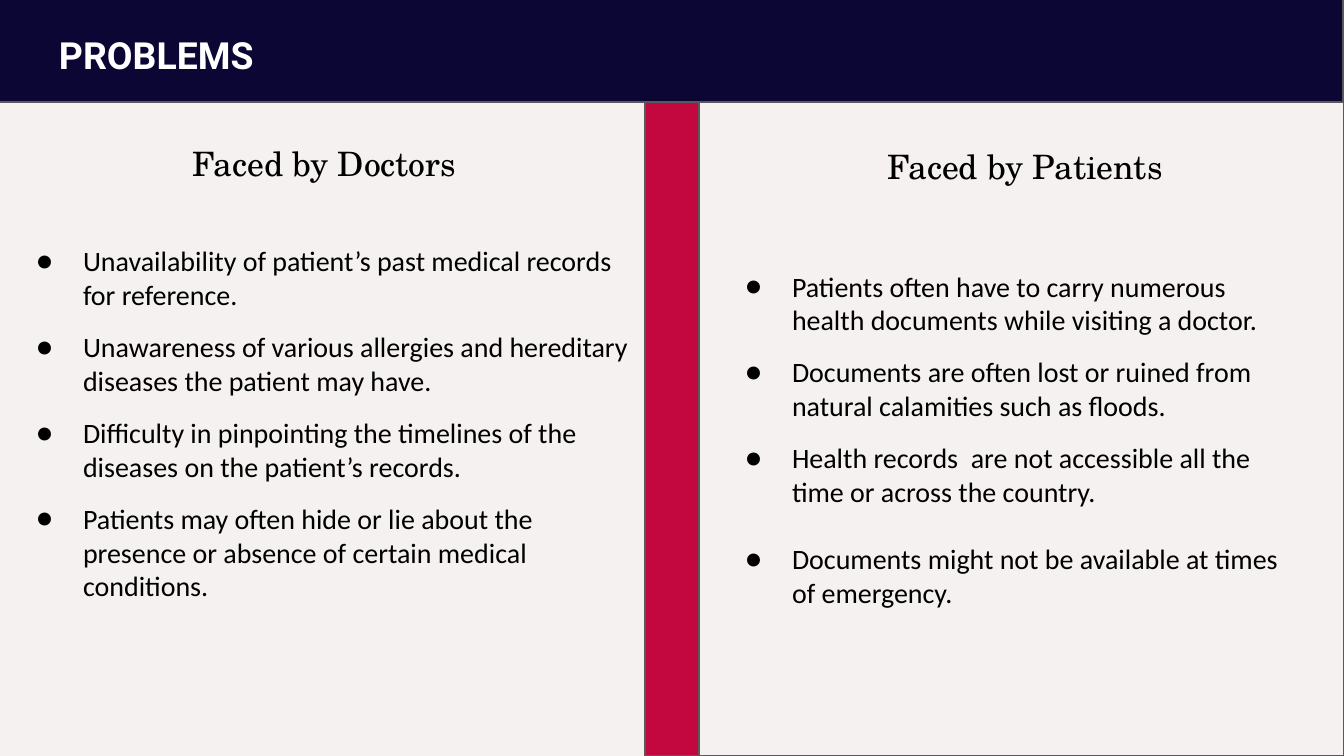
import dataclasses

import lxml.etree
import pptx
import pptx.dml.color
import pptx.enum.text
import pptx.oxml.ns
import pptx.util

SCALE = 914400 / 134.4
WIDE, HIGH = 1344, 756
PAD = 13
HANG = 47


@dataclasses.dataclass(frozen=True)
class Theme:
    paper: str = "F4F1F0"
    navy: str = "0B0633"
    red: str = "C3073F"
    edge: str = "595959"
    ink: str = "000000"
    white: str = "FFFFFF"
    rule: float = 0.75
    gap: int = 10
    title: tuple = ("Roboto", 20)
    head: tuple = ("TeX Gyre Schola", 18)
    body: tuple = ("Calibri", 15)


THEME = Theme()

DOCTORS = [
    "Unavailability of patient’s past medical records for reference.",
    "Unawareness of various allergies and hereditary diseases the patient may have.",
    "Difficulty in pinpointing the timelines of the diseases on the patient’s records.",
    "Patients may often hide or lie about the presence or absence of certain medical conditions.",
]
PATIENTS = [
    "Patients often have to carry numerous health documents while visiting a doctor.",
    "Documents are often lost or ruined from natural calamities such as floods.",
    "Health records  are not accessible all the time or across the country.",
    "Documents might not be available at times of emergency.",
]


def px(count):
    return pptx.util.Emu(round(count * SCALE))


def shade(code):
    return pptx.dml.color.RGBColor.from_string(code)


def assign(item, values):
    for name, value in values.items():
        setattr(item, name, value)


def block(slide, place, fill, edged=True):
    kind = pptx.enum.shapes.MSO_SHAPE.RECTANGLE
    shape = slide.shapes.add_shape(kind, *map(px, place))
    shape.shadow.inherit = False
    shape.fill.solid()
    shape.fill.fore_color.rgb = shade(fill)
    if edged:
        shape.line.color.rgb = shade(THEME.edge)
        shape.line.width = pptx.util.Pt(THEME.rule)
    else:
        shape.line.fill.background()


def frame(slide, place, anchor="TOP"):
    text = slide.shapes.add_textbox(*map(px, place)).text_frame
    sides = ("left", "top", "right", "bottom")
    assign(text, {f"margin_{side}": px(PAD) for side in sides})
    assign(text, {
        "word_wrap": True,
        "vertical_anchor": getattr(pptx.enum.text.MSO_ANCHOR, anchor),
    })
    return text


def write(para, words, style, color, bold=False):
    run = para.add_run()
    run.text = words
    face, size = style
    assign(run.font, {"name": face, "size": pptx.util.Pt(size), "bold": bold})
    run.font.color.rgb = shade(color)


def label(slide, place, words, style, color, align="LEFT", bold=False):
    para = frame(slide, place).paragraphs[0]
    para.alignment = getattr(pptx.enum.text.PP_ALIGN, align)
    write(para, words, style, color, bold)


def bullet(para, indent):
    props = para._p.get_or_add_pPr()
    assign_to = {"marL": indent, "indent": -HANG}
    for name, value in assign_to.items():
        props.set(name, str(px(value)))
    qn = pptx.oxml.ns.qn
    tint = lxml.etree.SubElement(props, qn("a:buClr"))
    lxml.etree.SubElement(tint, qn("a:srgbClr"), val=THEME.ink)
    lxml.etree.SubElement(props, qn("a:buFont"), typeface=THEME.body[0])
    lxml.etree.SubElement(props, qn("a:buChar"), char="●")


def points(slide, place, items, indent, anchor="TOP", last=THEME.gap):
    text = frame(slide, place, anchor)
    gaps = [0] + [THEME.gap] * (len(items) - 2) + [last]
    for index, (words, gap) in enumerate(zip(items, gaps)):
        para = text.add_paragraph() if index else text.paragraphs[0]
        bullet(para, indent)
        para.space_before = pptx.util.Pt(gap)
        write(para, words, THEME.body, THEME.ink)


def main():
    deck = pptx.Presentation()
    assign(deck, {"slide_width": px(WIDE), "slide_height": px(HIGH)})
    slide = deck.slides.add_slide(deck.slide_layouts[6])
    half = WIDE // 2
    block(slide, (half, 0, half, HIGH), THEME.paper)
    points(slide, (645, 160, 671, 558), PATIENTS, 134, "MIDDLE", 18)
    block(slide, (0, 0, half, HIGH), THEME.paper, edged=False)
    block(slide, (645, 94, 54, HIGH - 94), THEME.red)
    block(slide, (-1, -1, WIDE, 103), THEME.navy)
    points(slide, (3, 231, 642, 525), DOCTORS, 67)
    label(slide, (46, 19, 382, 85), "PROBLEMS", THEME.title, THEME.white, bold=True)
    label(slide, (144, 130, 361, 71), "Faced by Doctors", THEME.head, THEME.ink, "CENTER")
    label(slide, (863, 133, 324, 51), "Faced by Patients", THEME.head, THEME.ink, "CENTER")
    deck.save("out.pptx")


if __name__ == "__main__":
    main()
